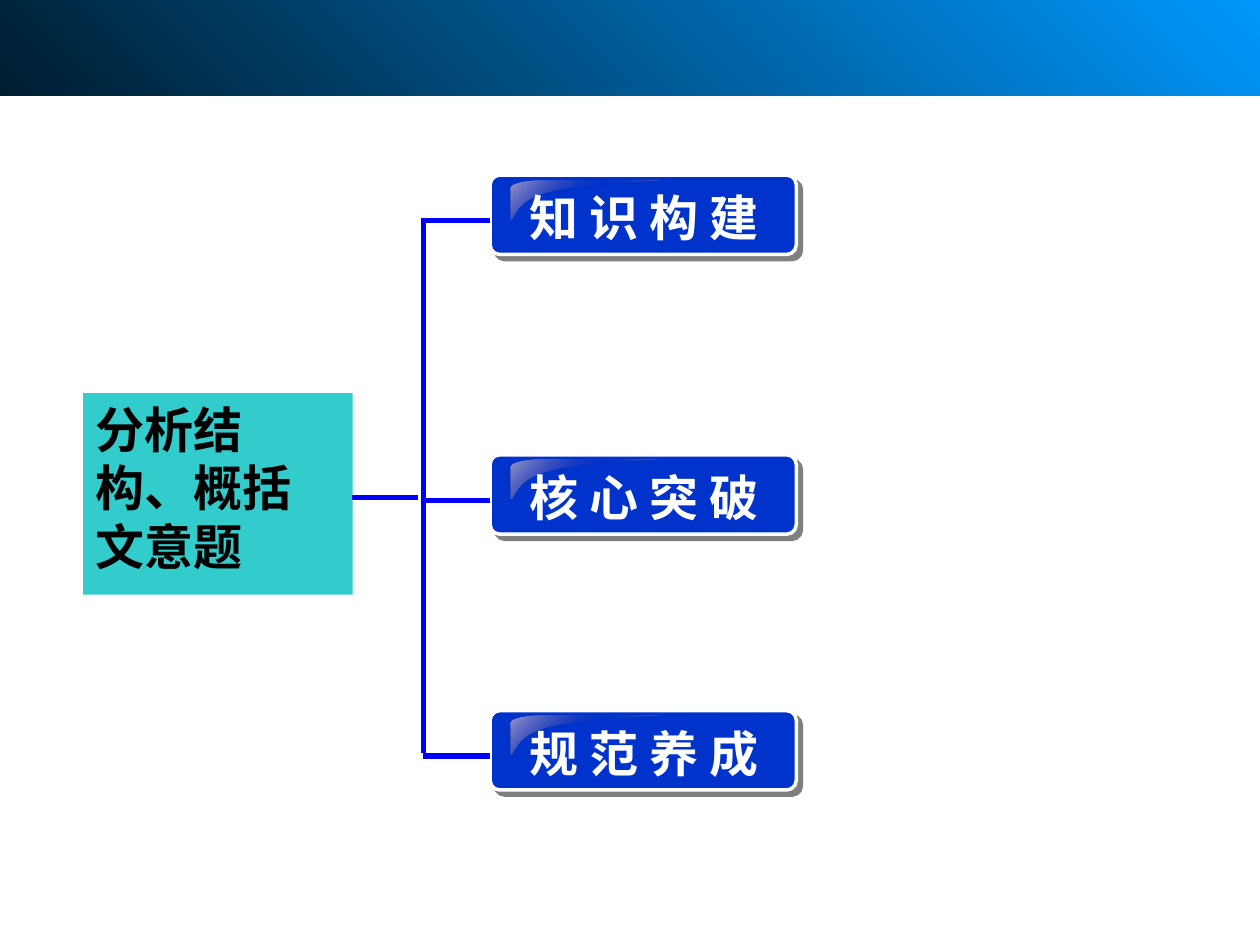
from lxml import etree
from pptx import Presentation
from pptx import util as u
from pptx.dml.color import RGBColor
from pptx.enum import lang, shapes, text
from pptx.oxml.ns import qn

COLORS = {
    "topic": "33CCCC", "button": "0033CC", "line": "0000FF",
    "white": "FFFFFF", "black": "000000",
    "sky": "0099FF", "night": "001D30", "gloss": "9B9BCC", "indigo": "333399",
}
CJK = "Noto Sans CJK SC"
BUTTONS = [("知 识 构 建", 1.39), ("核 心 突 破", 3.61), ("规 范 养 成", 5.64)]
BUTTON_X, BUTTON_W, BUTTON_H = 3.89, 2.43, 0.63
TRUNK_X = 3.36
BRANCH_DROP = 0.36  # from a button's top to its branch line

# Gloss outline, relative to the button's corner: start, then one entry per
# segment (a single point is a line, three points are a cubic curve)
GLOSS_START = (0.40, 0.04)
GLOSS_SEGMENTS = [
    [(0.26, 0.04), (0.16, 0.07), (0.16, 0.10)],
    [(0.16, 0.35)],
    [(0.21, 0.35), (0.18, 0.20), (0.48, 0.13)],
    [(0.78, 0.06), (1.36, 0.05), (1.35, 0.04)],
]
GLOSS_CORNER = (0.16, 0.04)


def rgb(name):
    return RGBColor.from_string(COLORS[name])


def inches(*values):
    return [u.Inches(v) for v in values]


def sub(parent, tag, **attrs):
    return etree.SubElement(parent, qn(tag), {k: str(v) for k, v in attrs.items()})


def gradient(sp, stops, angle):
    """Fill with (percent, colour, opacity percent) stops."""
    sp.fill.background()
    none = sp._element.spPr.find(qn("a:noFill"))
    grad = etree.Element(qn("a:gradFill"), rotWithShape="1")
    stop_list = sub(grad, "a:gsLst")
    for pos, color, opacity in stops:
        clr = sub(sub(stop_list, "a:gs", pos=pos * 1000), "a:srgbClr", val=COLORS[color])
        if opacity < 100:
            sub(clr, "a:alpha", val=opacity * 1000)
    sub(grad, "a:lin", ang=angle * 60000, scaled=0)
    none.getparent().replace(none, grad)


def hard_shadow(sp):
    effects = sp._element.spPr.find(qn("a:effectLst"))
    shadow = sub(effects, "a:outerShdw", blurRad=0, dist=u.Pt(4.2),
                 dir=45 * 60000, algn="ctr", rotWithShape=0)
    sub(sub(shadow, "a:srgbClr", val=COLORS["black"]), "a:alpha", val=50000)


def add_block(parent, kind, box, fill=None):
    sp = parent.add_shape(kind, *inches(*box))
    sp.shadow.inherit = False
    sp.line.fill.background()
    if fill:
        sp.fill.solid()
        sp.fill.fore_color.rgb = rgb(fill)
    return sp


def write(sp, words, color, font, insets, anchor):
    tf = sp.text_frame
    left, top, right, bottom = inches(*insets)
    frame = {"word_wrap": True, "vertical_anchor": anchor, "margin_left": left,
             "margin_top": top, "margin_right": right, "margin_bottom": bottom}
    for key, value in frame.items():
        setattr(tf, key, value)
    p = tf.paragraphs[0]
    p.alignment = text.PP_ALIGN.LEFT
    p._p.get_or_add_pPr().set("hangingPunct", "0")
    r = p.add_run()
    r.text = words
    style = {"size": u.Pt(28), "bold": True, "name": font,
             "language_id": lang.MSO_LANGUAGE_ID.SIMPLIFIED_CHINESE}
    for key, value in style.items():
        setattr(r.font, key, value)
    r.font.color.rgb = rgb(color)
    r._r.get_or_add_rPr().find(qn("a:latin")).addnext(
        etree.Element(qn("a:ea"), typeface=CJK))
    return p


def add_gloss(parent, x, y):
    def place(pt):
        return u.Inches(x + pt[0]), u.Inches(y + pt[1])

    fb = parent.build_freeform(*place(GLOSS_START))
    fb.add_line_segments([place(segment[-1]) for segment in GLOSS_SEGMENTS])
    sp = fb.convert_to_shape()
    # Bend the segments that have control points
    for line, segment in zip(list(sp._element.iter(qn("a:lnTo"))), GLOSS_SEGMENTS):
        if len(segment) == 3:
            curve = etree.Element(qn("a:cubicBezTo"))
            for pt in segment:
                dx, dy = inches(pt[0] - GLOSS_CORNER[0], pt[1] - GLOSS_CORNER[1])
                sub(curve, "a:pt", x=int(dx), y=int(dy))
            line.getparent().replace(line, curve)
    sp.shadow.inherit = False
    sp.line.fill.background()
    gradient(sp, [(0, "gloss", 100), (50, "indigo", 0), (100, "gloss", 100)], 225)


def add_button(slide, label, y):
    group = slide.shapes.add_group_shape().shapes
    sp = add_block(group, shapes.MSO_SHAPE.ROUNDED_RECTANGLE,
                   (BUTTON_X, y, BUTTON_W, BUTTON_H), "button")
    sp.adjustments[0] = 0.12
    sp.line.color.rgb = rgb("white")
    sp.line.width = u.Pt(2)
    hard_shadow(sp)
    add_gloss(group, BUTTON_X, y)
    caption = group.add_textbox(*inches(4.1, y + 0.05, 4.11, 0.57))
    write(caption, label, "white", "Times New Roman", (0.1, 0.05, 0.1, 0.05),
          text.MSO_ANCHOR.MIDDLE)


def add_line(slide, x1, y1, x2, y2):
    line = slide.shapes.add_connector(shapes.MSO_CONNECTOR.STRAIGHT,
                                      *inches(x1, y1, x2, y2))
    line.line.color.rgb = rgb("line")
    line.line.width = u.Pt(3)
    sub(line._element.spPr, "a:effectLst")


def main():
    prs = Presentation()
    prs.slide_width, prs.slide_height = inches(10, 7.5)
    slide = prs.slides.add_slide(prs.slide_layouts[6])

    # Topic and header band
    topic = add_block(slide.shapes, shapes.MSO_SHAPE.RECTANGLE,
                      (0.66, 3.12, 2.14, 1.6), "topic")
    p = write(topic, "分析结构、概括文意题", "black", CJK, (0.1, 0.05, 0.2, 0.16),
              text.MSO_ANCHOR.TOP)
    p.line_spacing = u.Pt(33.5)
    band = add_block(slide.shapes, shapes.MSO_SHAPE.RECTANGLE, (0, -0.11, 10, 0.87))
    gradient(band, [(0, "sky", 100), (100, "night", 100)], 135)

    # Buttons
    for label, y in BUTTONS:
        add_button(slide, label, y)

    # Bracket from the topic to the buttons
    branches = [y + BRANCH_DROP for _, y in BUTTONS]
    add_line(slide, 2.79, 3.95, 3.32, 3.95)
    add_line(slide, TRUNK_X, branches[0] - 0.02, TRUNK_X, branches[-1] - 0.02)
    for y in branches:
        add_line(slide, TRUNK_X, y, BUTTON_X, y)

    prs.save("out.pptx")


if __name__ == "__main__":
    main()
